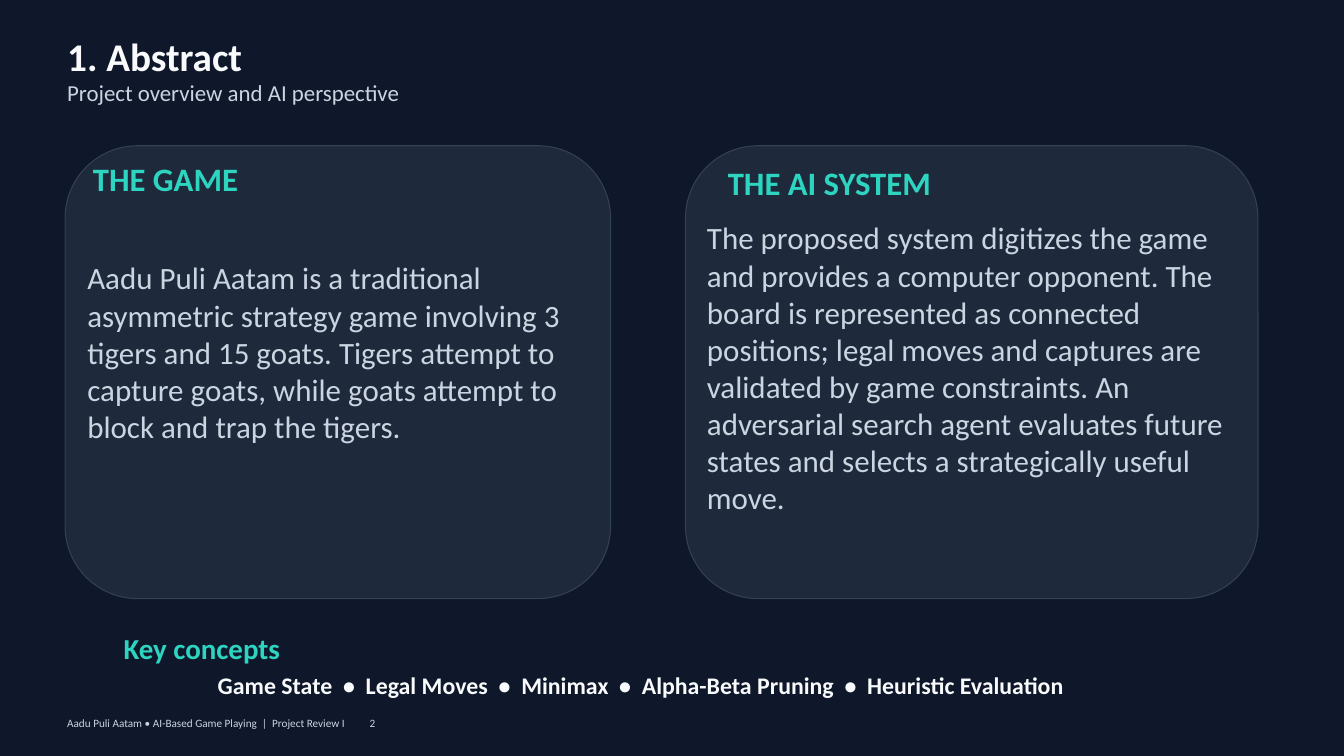
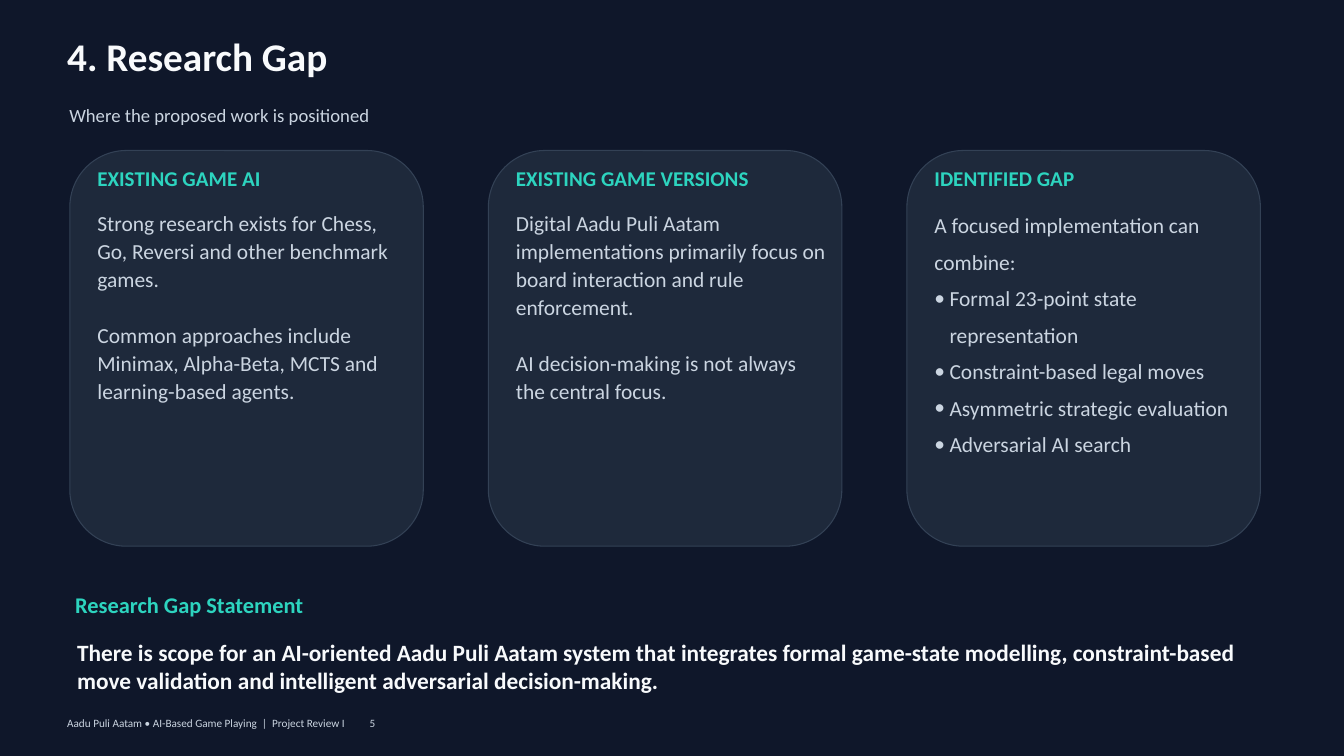
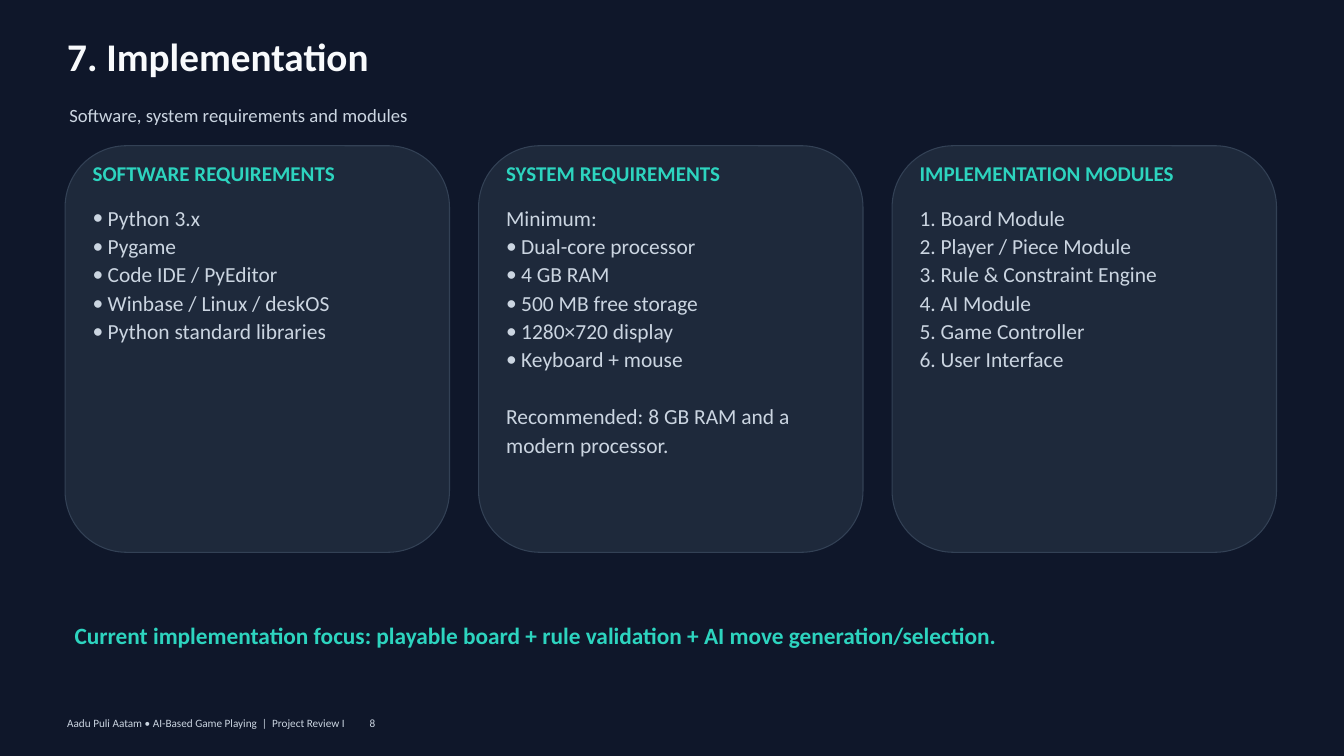
from lxml.etree import SubElement
from pptx import Presentation
from pptx.dml.color import RGBColor
from pptx.enum.shapes import MSO_SHAPE as Preset
from pptx.enum.text import MSO_ANCHOR as Anchor, MSO_AUTO_SIZE as AutoSize, PP_ALIGN as Align
from pptx.oxml.ns import qn
from pptx.util import Cm, Pt

NIGHT = RGBColor(0x0F, 0x17, 0x2A)
CARD = RGBColor(0x1E, 0x29, 0x3B)
EDGE = RGBColor(0x33, 0x41, 0x55)
WHITE = RGBColor(0xF8, 0xFA, 0xFC)
SOFT = RGBColor(0xCB, 0xD5, 0xE1)
TEAL = RGBColor(0x2D, 0xD4, 0xBF)
FONT = "Calibri"
COMPARISON = 4
TITLE_AREA = (2.54, 1.22, 45.62, 2.64)
FOOTER_AREA = (2.54, 27.08, 45.24, 0.64)
FOOTER = "Aadu Puli Aatam • AI-Based Game Playing  |  Project Review I"
MARKERS = {
    "•": (0.57, "a:buChar", {"char": "•"}),
    "#": (0.79, "a:buAutoNum", {"type": "arabicPeriod"}),
}


def write(box, lines, *, size, leading, color=SOFT, bold=False, tab=None):
    frame = box.text_frame
    frame.word_wrap = True
    frame.auto_size = AutoSize.NONE
    frame.vertical_anchor = Anchor.TOP
    frame.margin_left = frame.margin_right = frame.margin_top = frame.margin_bottom = 0
    for index, line in enumerate(lines):
        para = frame.add_paragraph() if index else frame.paragraphs[0]
        gap = leading if line.startswith("\n") else 0
        text = line.lstrip("\n")
        indent, tag, attributes = MARKERS.get(text[0], (0, "a:buNone", {}))
        properties = para._p.get_or_add_pPr()
        properties.set("marL", str(Cm(indent)))
        properties.set("indent", str(-Cm(indent)))
        SubElement(properties, qn("a:buFont"), typeface=FONT)
        SubElement(properties, qn(tag), attributes)
        if tab:
            stops = SubElement(properties, qn("a:tabLst"))
            SubElement(stops, qn("a:tab"), pos=str(Cm(tab)), algn="l")
        para.alignment = Align.LEFT
        para.line_spacing = Pt(leading)
        para.space_before = Pt(gap)
        para.space_after = Pt(0)
        span = para.add_run()
        span.text = text[2:] if indent else text
        span.font.name = FONT
        span.font.size = Pt(size)
        span.font.bold = bold
        span.font.color.rgb = color


def place(page, area, holder=None):
    left, top, width, height = (Cm(length) for length in area)
    if holder is None:
        return page.shapes.add_textbox(left, top, width, height)
    holder.left, holder.top, holder.width, holder.height = left, top, width, height
    return holder


GAME = [
    "Aadu Puli Aatam is a traditional asymmetric strategy game involving 3 tigers and 15 goats. "
    "Tigers attempt to capture goats, while goats attempt to block and trap the tigers."
]
SYSTEM = [
    "The proposed system digitizes the game and provides a computer opponent. The board is "
    "represented as connected positions; legal moves and captures are validated by game "
    "constraints. An adversarial search agent evaluates future states and selects a "
    "strategically useful move."
]
GAP_COLUMNS = [
    ("EXISTING GAME AI", 2.18, 29.9, [
        "Strong research exists for Chess, Go, Reversi and other benchmark games.",
        "\nCommon approaches include Minimax, Alpha-Beta, MCTS and learning-based agents.",
    ]),
    ("EXISTING GAME VERSIONS", 2.18, 29.9, [
        "Digital Aadu Puli Aatam implementations primarily focus on board interaction and rule "
        "enforcement.",
        "\nAI decision-making is not always the central focus.",
    ]),
    ("IDENTIFIED GAP", 1.93, 39.1, [
        "A focused implementation can combine:",
        "• Formal 23-point state representation",
        "• Constraint-based legal moves",
        "• Asymmetric strategic evaluation",
        "• Adversarial AI search",
    ]),
]
BUILD_COLUMNS = [
    ("SOFTWARE REQUIREMENTS", 2.13, 30.4, [
        "• Python 3.x",
        "• Pygame",
        "• Code IDE / PyEditor",
        "• Winbase / Linux / deskOS",
        "• Python standard libraries",
    ]),
    ("SYSTEM REQUIREMENTS", 2.13, 30.4, [
        "Minimum:",
        "• Dual-core processor",
        "• 4 GB RAM",
        "• 500 MB free storage",
        "• 1280×720 display",
        "• Keyboard + mouse",
        "\nRecommended: 8 GB RAM and a modern processor.",
    ]),
    ("IMPLEMENTATION MODULES", 2.13, 30.4, [
        "# Board Module",
        "# Player / Piece Module",
        "# Rule & Constraint Engine",
        "# AI Module",
        "# Game Controller",
        "# User Interface",
    ]),
]

abstract_cards = [
    ((2.46, 5.51, 20.62, 17.12), "THE GAME", (3.51, 6.02, 20.27, 1.7),
     GAME, (3.3, 9.78, 18.95, 7.19), 39.9),
    ((25.91, 5.51, 21.64, 17.12), "THE AI SYSTEM", (27.51, 6.17, 20.27, 1.7),
     SYSTEM, (26.72, 8.28, 20.85, 11.4), 39.8),
]
column_cards = []
for columns, left, pitch, top, width, height, text_width in (
    (GAP_COLUMNS, 2.64, 15.82, 5.69, 13.36, 14.96, 11.89),
    (BUILD_COLUMNS, 2.46, 15.63, 5.51, 14.53, 15.37, 12.45),
):
    cards = []
    for index, (heading, drop, leading, lines) in enumerate(columns):
        x = left + index * pitch
        cards.append((
            (x, top, width, height), heading, (x + 1.04, top + 0.56, text_width, 1.24),
            lines, (x + 1.04, top + drop, text_width, 9.7), leading,
        ))
    column_cards.append(cards)
gap_cards, build_cards = column_cards

SLIDES = [
    {
        "number": 2,
        "title": "1. Abstract",
        "subtitle": ("Project overview and AI perspective", (2.54, 2.97, 44.48, 1.17), 24.5, 29.4),
        "cards": abstract_cards,
        "card_sizes": (35, 42, 33.2),
        "closing": [
            ("Key concepts", (4.67, 23.83, 7.11, 1.47), 31, 37.2, TEAL),
            ("Game State  •  Legal Moves  •  Minimax  •  Alpha-Beta Pruning  •  Heuristic Evaluation",
             (8.23, 25.35, 42.57, 1.19), 25.5, 30.6, WHITE),
        ],
    },
    {
        "number": 5,
        "title": "4. Research Gap",
        "subtitle": ("Where the proposed work is positioned", (2.62, 3.91, 44.48, 0.97), 20, 24),
        "cards": gap_cards,
        "card_sizes": (22.5, 27, 23),
        "closing": [
            ("Research Gap Statement", (2.84, 22.33, 9.02, 1.12), 24, 28.8, TEAL),
            ("There is scope for an AI-oriented Aadu Puli Aatam system that integrates formal "
             "game-state modelling, constraint-based move validation and intelligent adversarial "
             "decision-making.", (2.92, 24.13, 44.48, 2.18), 25, 30, WHITE),
        ],
    },
    {
        "number": 8,
        "title": "7. Implementation",
        "subtitle": ("Software, system requirements and modules", (2.62, 3.91, 44.48, 0.97), 20, 24),
        "cards": build_cards,
        "card_sizes": (22.5, 27, 23),
        "closing": [
            ("Current implementation focus: playable board + rule validation + AI move "
             "generation/selection.", (2.82, 23.5, 44.09, 1.17), 25, 30, TEAL),
        ],
    },
]

deck = Presentation()
deck.slide_width, deck.slide_height = Cm(50.8), Cm(28.58)
backdrop = deck.slide_master.background.fill
backdrop.solid()
backdrop.fore_color.rgb = NIGHT

for content in SLIDES:
    page = deck.slides.add_slide(deck.slide_layouts[COMPARISON])
    title = place(page, TITLE_AREA, page.shapes.title)
    write(title, [content["title"]], size=42, leading=50.4, color=WHITE, bold=True)
    text, area, size, leading = content["subtitle"]
    write(place(page, area), [text], size=size, leading=leading)

    holders = [holder for holder in page.placeholders if holder.placeholder_format.idx > 0]
    heading_size, heading_leading, body_size = content["card_sizes"]
    for index, card in enumerate(content["cards"]):
        card_area, heading, heading_area, lines, body_area, leading = card
        panel = page.shapes.add_shape(
            Preset.ROUNDED_RECTANGLE, *(Cm(length) for length in card_area))
        panel.adjustments[0] = 0.16
        panel.shadow.inherit = False
        panel.fill.solid()
        panel.fill.fore_color.rgb = CARD
        panel.line.color.rgb = EDGE
        panel.line.width = Pt(1.13)
        page.shapes._spTree.insert(2 + index, panel._element)
        write(place(page, heading_area), [heading], size=heading_size,
              leading=heading_leading, color=TEAL, bold=True)
        write(place(page, body_area, holders[index]), lines, size=body_size, leading=leading)
    for holder in holders[len(content["cards"]):]:
        holder._element.getparent().remove(holder._element)

    for text, area, size, leading, color in content["closing"]:
        write(place(page, area), [text], size=size, leading=leading, color=color, bold=True)
    write(place(page, FOOTER_AREA), [f"{FOOTER}\t{content['number']}"],
          size=12, leading=14.4, tab=14.1)

deck.save("out.pptx")
